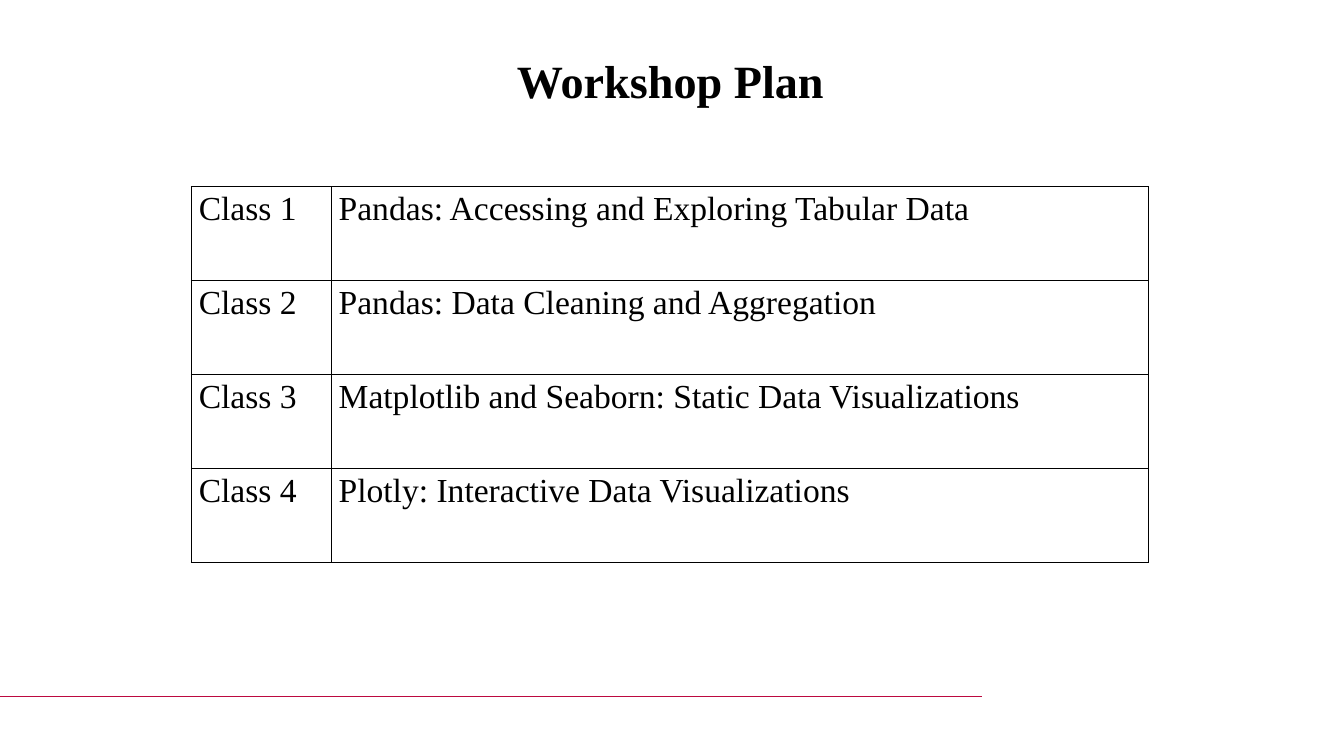
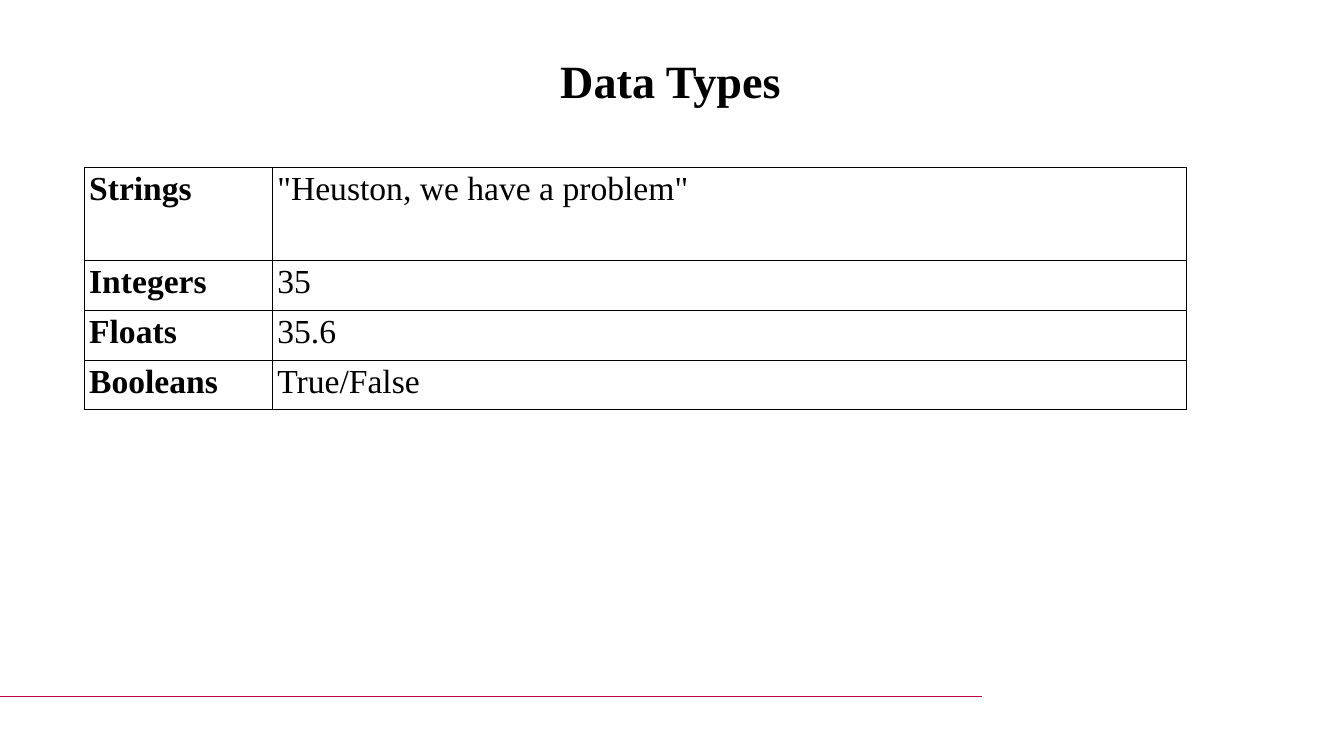
from pptx import Presentation
from pptx.dml.color import RGBColor
from pptx.enum.text import MSO_ANCHOR, MSO_AUTO_SIZE, PP_ALIGN
from pptx.oxml import parse_xml
from pptx.oxml.ns import nsdecls
from pptx.util import Inches, Pt

WIDTH, HEIGHT = 17.78, 10
FONT = "Times New Roman"
BLACK, WHITE, ROSE = "000000", "FFFFFF", "BC0940"
color = RGBColor.from_string


def write(frame, text, size=32, bold=False, align=PP_ALIGN.LEFT):
    para = frame.paragraphs[0]
    para.alignment = align
    run = para.add_run()
    run.text = text
    run.font.name, run.font.size, run.font.bold = FONT, Pt(size), bold
    run.font.color.rgb = color(BLACK)


def border(cell, width):
    for side in ("lnL", "lnR", "lnT", "lnB"):
        cell._tc.get_or_add_tcPr().append(parse_xml(
            f'<a:{side} {nsdecls("a")} w="{Pt(width)}"><a:solidFill>'
            f'<a:srgbClr val="{BLACK}"/></a:solidFill></a:{side}>'))


# Content: title, table origin, column widths, row heights, cell style, rows
PAGES = [
    dict(title="Workshop Plan", left=2.53, top=2.47, cols=[1.85, 10.81],
         heights=[4.97 / 4] * 4, line=1, inset=(0.1, 0.05), fill=None, bold=False,
         rows=[("Class 1", "Pandas: Accessing and Exploring Tabular Data"),
               ("Class 2", "Pandas: Data Cleaning and Aggregation"),
               ("Class 3", "Matplotlib and Seaborn: Static Data Visualizations"),
               ("Class 4", "Plotly: Interactive Data Visualizations")]),
    dict(title="Data Types", left=1.11, top=2.22, cols=[2.49, 12.1],
         heights=[1.23] + [1.97 / 3] * 3, line=0.75, inset=(0.07, 0.04),
         fill=WHITE, bold=True,
         rows=[("Strings", '"Heuston, we have a problem"'),
               ("Integers", "35"),
               ("Floats", "35.6"),
               ("Booleans", "True/False")]),
]

deck = Presentation()
deck.slide_width, deck.slide_height = Inches(WIDTH), Inches(HEIGHT)

for page in PAGES:
    slide = deck.slides.add_slide(deck.slide_layouts[5])
    slide.background.fill.solid()
    slide.background.fill.fore_color.rgb = color(WHITE)

    # Footer rule, in hundredths of an inch
    end, y, thick = 1299, 920, 1
    pen = slide.shapes.build_freeform(end, y, scale=Inches(0.01))
    pen.add_line_segments([(0, y), (0, y + thick), (end, y + thick)], close=True)
    rule = pen.convert_to_shape()
    rule.shadow.inherit = False
    rule.fill.solid()
    rule.fill.fore_color.rgb = color(ROSE)
    rule.line.fill.background()

    # Title
    title = slide.shapes.title
    title.left, title.top = Inches(0.66), Inches(0.64)
    title.width, title.height = Inches(16.42), Inches(0.84)
    frame = title.text_frame
    frame.margin_left = frame.margin_right = frame.margin_bottom = 0
    frame.margin_top = Inches(0.05)
    frame.vertical_anchor = MSO_ANCHOR.TOP
    frame.auto_size = MSO_AUTO_SIZE.SHAPE_TO_FIT_TEXT
    write(frame, page["title"], size=44, bold=True, align=PP_ALIGN.CENTER)

    # Table
    rows, cols, heights = page["rows"], page["cols"], page["heights"]
    table = slide.shapes.add_table(
        len(rows), len(cols), Inches(page["left"]), Inches(page["top"]),
        Inches(sum(cols)), Inches(sum(heights))).table
    table.first_row = table.horz_banding = False
    for col, width in zip(table.columns, cols):
        col.width = Inches(width)
    for r, row in enumerate(rows):
        table.rows[r].height = Inches(heights[r])
        for c, text in enumerate(row):
            cell = table.cell(r, c)
            across, down = page["inset"]
            cell.margin_left = cell.margin_right = Inches(across)
            cell.margin_top = cell.margin_bottom = Inches(down)
            border(cell, page["line"])
            if page["fill"]:
                cell.fill.solid()
                cell.fill.fore_color.rgb = color(page["fill"])
            else:
                cell.fill.background()
            write(cell.text_frame, text, bold=page["bold"] and c == 0)

deck.save("out.pptx")
